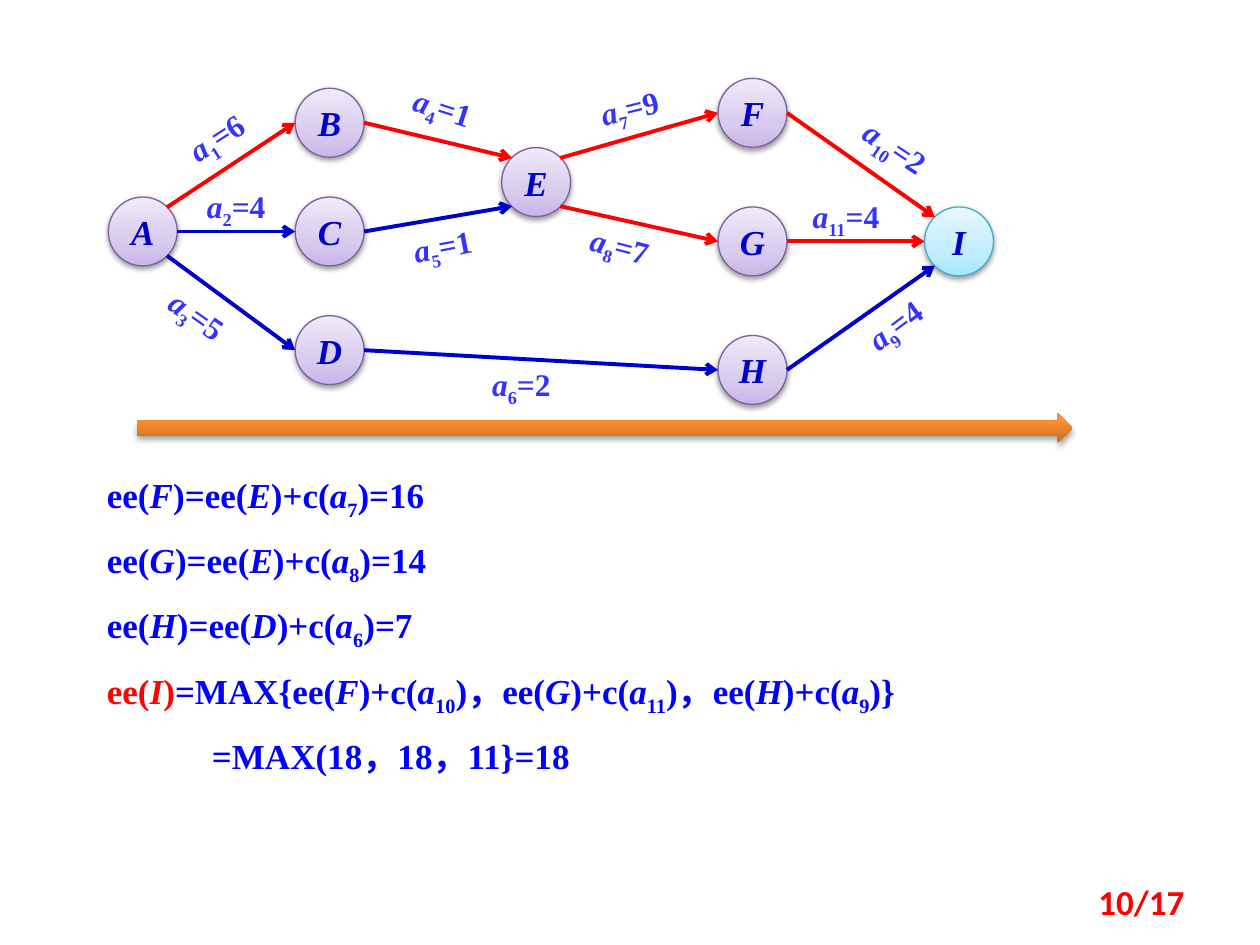
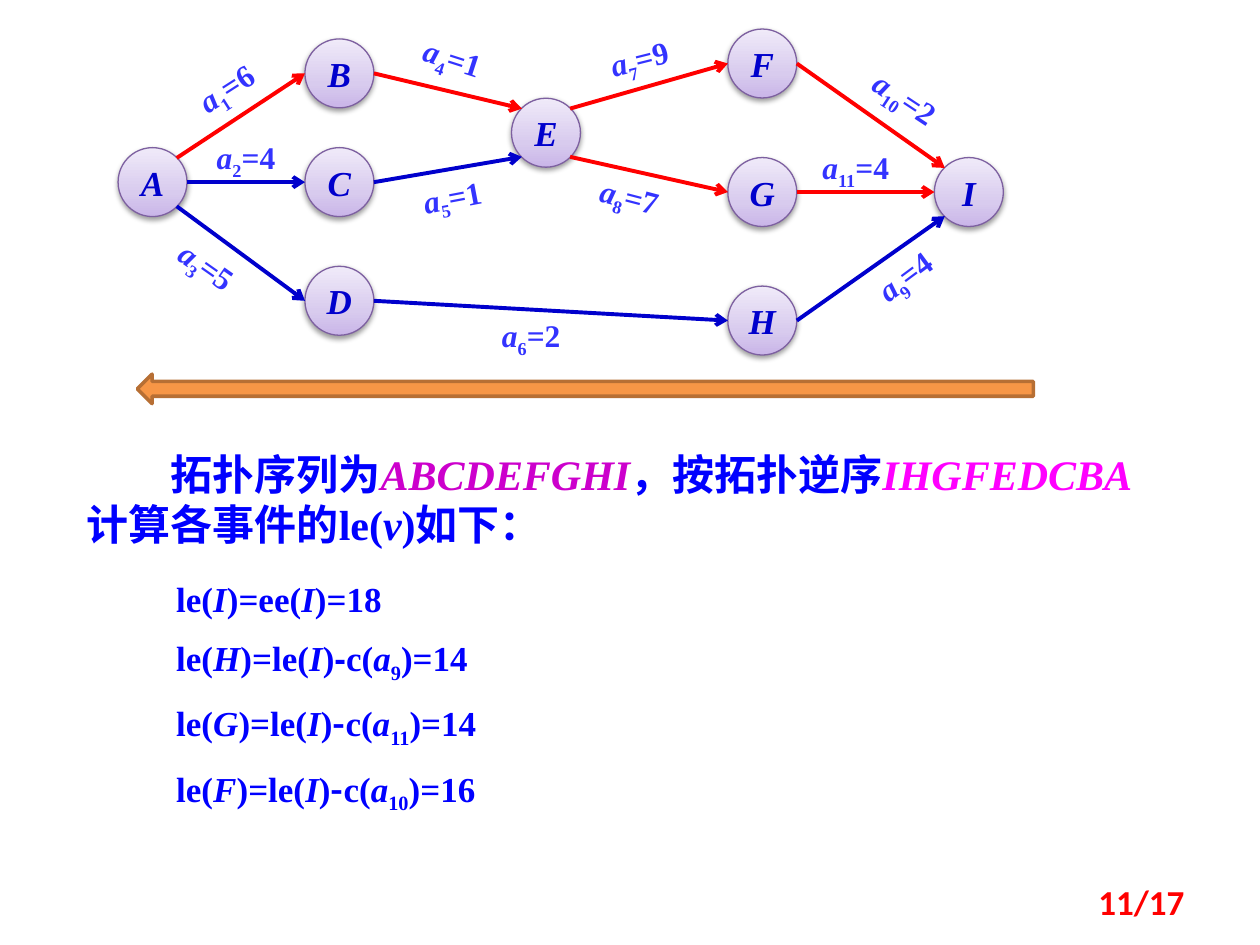
from copy import deepcopy

from lxml.etree import SubElement
from pptx import Presentation
from pptx.dml.color import RGBColor
from pptx.enum.shapes import MSO_CONNECTOR, MSO_SHAPE
from pptx.enum.text import MSO_ANCHOR, PP_ALIGN
from pptx.oxml.ns import qn
from pptx.util import Pt

SERIF = "Times New Roman"
CHINESE = "Noto Sans CJK SC"
RED, BLUE, NAVY, LABEL_BLUE = "FF0000", "0000FF", "0000CC", "3333FF"
LILAC = ["C9B5E8", "D8CBEE", "F0EAF9"]
SKY = ["A7E6FF", "C1EDFF", "E7F8FF"]
ORANGE = ["CC6E20", "FF9034", "FF9136"]

COLUMN, ROW = 5.62, 5.65
NODE = 39.4
NODES = {
    "A": (0, 12), "B": (19, 1), "C": (19, 12), "D": (19, 24), "E": (40, 7),
    "F": (62, 0), "G": (62, 13), "H": (62, 26), "I": (83, 13),
}
SITES = {
    "left": (0, 0.5), "right": (1, 0.5),
    "top left": (0.15, 0.15), "top right": (0.85, 0.15),
    "bottom left": (0.15, 0.85), "bottom right": (0.85, 0.85),
}
ACTIVITIES = [
    ("A", "top right", "B", "left", RED, "1", 6, 5, 4, 327.3),
    ("A", "right", "C", "left", NAVY, "2", 4, 7, 11, 0),
    ("A", "bottom right", "D", "left", NAVY, "3", 5, 3, 22, 35.2),
    ("B", "right", "E", "top left", RED, "4", 1, 28, 1, 17.8),
    ("C", "right", "E", "bottom left", NAVY, "5", 1, 28, 15, 349.2),
    ("D", "right", "H", "left", NAVY, "6", 2, 36, 29, 0),
    ("E", "top right", "F", "left", RED, "7", 9, 47, 1, 346),
    ("E", "bottom right", "G", "left", RED, "8", 7, 46, 15, 14.7),
    ("H", "right", "I", "bottom left", NAVY, "9", 4, 74, 23, 323.4),
    ("F", "right", "I", "top left", RED, "10", 2, 74, 5, 33.4),
    ("G", "right", "I", "left", RED, "11", 4, 69, 12, 0),
]
EARLIEST = [
    "ee(|*F|)=ee(|*E|)+c(|*a|_7|)=16",
    "ee(|*G|)=ee(|*E|)+c(|*a|_8|)=14",
    "ee(|*H|)=ee(|*D|)+c(|*a|_6|)=7",
    "ee(|*I|)|=MAX{ee(|*F|)+c(|*a|_10|)，ee(|*G|)+c(|*a|_11|)，ee(|*H|)+c(|*a|_9|)}",
    "=MAX(18，18，11}=18",
]
LATEST = [
    "le(|*I|)=ee(|*I|)=18",
    "le(|*H|)=le(|*I|)|-|c(|*a|_9|)=14",
    "le(|*G|)=le(|*I|)|-|c(|*a|_11|)=14",
    "le(|*F|)=le(|*I|)|-|c(|*a|_10|)=16",
]
ORDER = ["拓扑序列为|*ABCDEFGHI|，按拓扑逆序|*IHGFEDCBA|计算各事件的le(|*v|)如下："]


def write(box, lines, size, color, align, space_before=0, font=SERIF):
    frame = box.text_frame
    frame.word_wrap = True
    for number, line in enumerate(lines):
        para = frame.add_paragraph() if number else frame.paragraphs[0]
        para.alignment = align
        if space_before:
            spacing = SubElement(para._p.get_or_add_pPr(), qn("a:spcBef"))
            SubElement(spacing, qn("a:spcPct")).set("val", str(space_before * 1000))
        for piece in line.split("|"):
            span = para.add_run()
            span.text = piece.lstrip("*_")
            span.font.size = Pt(size)
            span.font.bold = True
            span.font.italic = piece.startswith("*")
            span.font.name = font
            span.font.color.rgb = RGBColor.from_string(color)
            properties = span._r.get_or_add_rPr()
            SubElement(properties, qn("a:ea")).set("typeface", CHINESE)
            if piece.startswith("_"):
                properties.set("baseline", "-25000")
    return frame.paragraphs


def shade(shape, colors, middle, opacity, distance):
    shape.fill.gradient()
    shape.fill.gradient_angle = 90
    stop_list = shape._element.spPr.find(qn("a:gradFill")).find(qn("a:gsLst"))
    stop_list.append(deepcopy(stop_list[0]))
    for stop, color, position in zip(shape.fill.gradient_stops, colors, (0, middle, 1)):
        stop.color.rgb = RGBColor.from_string(color)
        stop.position = position
    shape.shadow.inherit = False
    effects = shape._element.spPr.find(qn("a:effectLst"))
    shadow = SubElement(effects, qn("a:outerShdw"), blurRad=str(Pt(3.1)),
                        dist=str(Pt(distance)), dir="5400000", rotWithShape="0")
    black = SubElement(shadow, qn("a:srgbClr"), val="000000")
    SubElement(black, qn("a:alpha"), val=str(opacity * 1000))


deck = Presentation()
deck.slide_width, deck.slide_height = Pt(720), Pt(540)

pages = []
for page_number, left, top, end_colors in [(10, 61.9, 44.8, SKY), (11, 67.5, 16.6, LILAC)]:
    page = deck.slides.add_slide(deck.slide_layouts[6])
    pages.append(page)
    network = page.shapes.add_group_shape().shapes
    corners = {name: (left + column * COLUMN, top + row * ROW)
               for name, (column, row) in NODES.items()}

    for name, (x, y) in corners.items():
        colors = end_colors if name == "I" else LILAC
        node = network.add_shape(MSO_SHAPE.OVAL, Pt(x), Pt(y), Pt(NODE), Pt(NODE))
        node.line.color.rgb = RGBColor.from_string("46AAC5" if colors is SKY else "7D60A0")
        node.line.width = Pt(0.75)
        shade(node, colors, 0.35, 38, 1.6)
        frame = node.text_frame
        frame.margin_left = frame.margin_right = frame.margin_top = frame.margin_bottom = 0
        frame.vertical_anchor = MSO_ANCHOR.MIDDLE
        write(node, ["*" + name], 20, NAVY, PP_ALIGN.CENTER)

    for start, start_site, end, end_site, color, index, cost, column, row, angle in ACTIVITIES:
        (x1, y1), (x2, y2) = [
            (corners[name][0] + NODE * SITES[site][0], corners[name][1] + NODE * SITES[site][1])
            for name, site in ((start, start_site), (end, end_site))
        ]
        edge = network.add_connector(MSO_CONNECTOR.STRAIGHT, Pt(x1), Pt(y1), Pt(x2), Pt(y2))
        edge.line.color.rgb = RGBColor.from_string(color)
        edge.line.width = Pt(2.25)
        SubElement(edge.line._get_or_add_ln(), qn("a:tailEnd"), type="arrow")
        SubElement(edge._element.spPr, qn("a:effectLst"))

        label = network.add_textbox(Pt(left + column * COLUMN), Pt(top + row * ROW),
                                    Pt(12 * COLUMN), Pt(4 * ROW))
        label.rotation = angle
        frame = label.text_frame
        frame.margin_left = frame.margin_right = frame.margin_top = frame.margin_bottom = 0
        write(label, [f"*a|_{index}|={cost}"], 18, LABEL_BLUE, PP_ALIGN.CENTER)

    footer = page.shapes.add_textbox(Pt(516), Pt(500.5), Pt(168), Pt(28.8))
    footer.text_frame.vertical_anchor = MSO_ANCHOR.MIDDLE
    write(footer, [f"{page_number}/17"], 20, RED, PP_ALIGN.RIGHT, font="Calibri")

forward_page, backward_page = pages

forward = forward_page.shapes.add_shape(MSO_SHAPE.RIGHT_ARROW, Pt(78.5), Pt(236.2), Pt(534.4), Pt(16.9))
forward.line.fill.background()
shade(forward, ORANGE, 0.8, 35, 1.8)

box = forward_page.shapes.add_textbox(Pt(54), Pt(267), Pt(630), Pt(177))
paras = write(box, EARLIEST, 20, BLUE, PP_ALIGN.JUSTIFY, 50)
for span in paras[3].runs[:3]:
    span.font.color.rgb = RGBColor.from_string(RED)
paras[4]._p.get_or_add_pPr().set("marL", str(Pt(60)))

backward = backward_page.shapes.add_shape(MSO_SHAPE.LEFT_ARROW, Pt(78.5), Pt(213.8), Pt(512), Pt(16.9))
backward.fill.solid()
backward.fill.fore_color.rgb = RGBColor.from_string("F79646")
backward.line.color.rgb = RGBColor.from_string("B76F34")
backward.line.width = Pt(2)
backward.shadow.inherit = False

box = backward_page.shapes.add_textbox(Pt(42.5), Pt(252.7), Pt(635), Pt(65.5))
intro = write(box, ORDER, 24, BLUE, PP_ALIGN.LEFT, 50)[0]
intro._p.get_or_add_pPr().set("indent", str(Pt(48)))
intro.runs[1].font.color.rgb = RGBColor.from_string("CC00CC")
intro.runs[3].font.color.rgb = RGBColor.from_string("FF00FF")

box = backward_page.shapes.add_textbox(Pt(93.6), Pt(326.2), Pt(420), Pt(140.4))
paras = write(box, LATEST, 20, BLUE, PP_ALIGN.JUSTIFY, 50)
for para, dash_font in zip(paras[1:], ("Arial", CHINESE, CHINESE)):
    para.runs[5].font.name = dash_font

deck.save("out.pptx")
